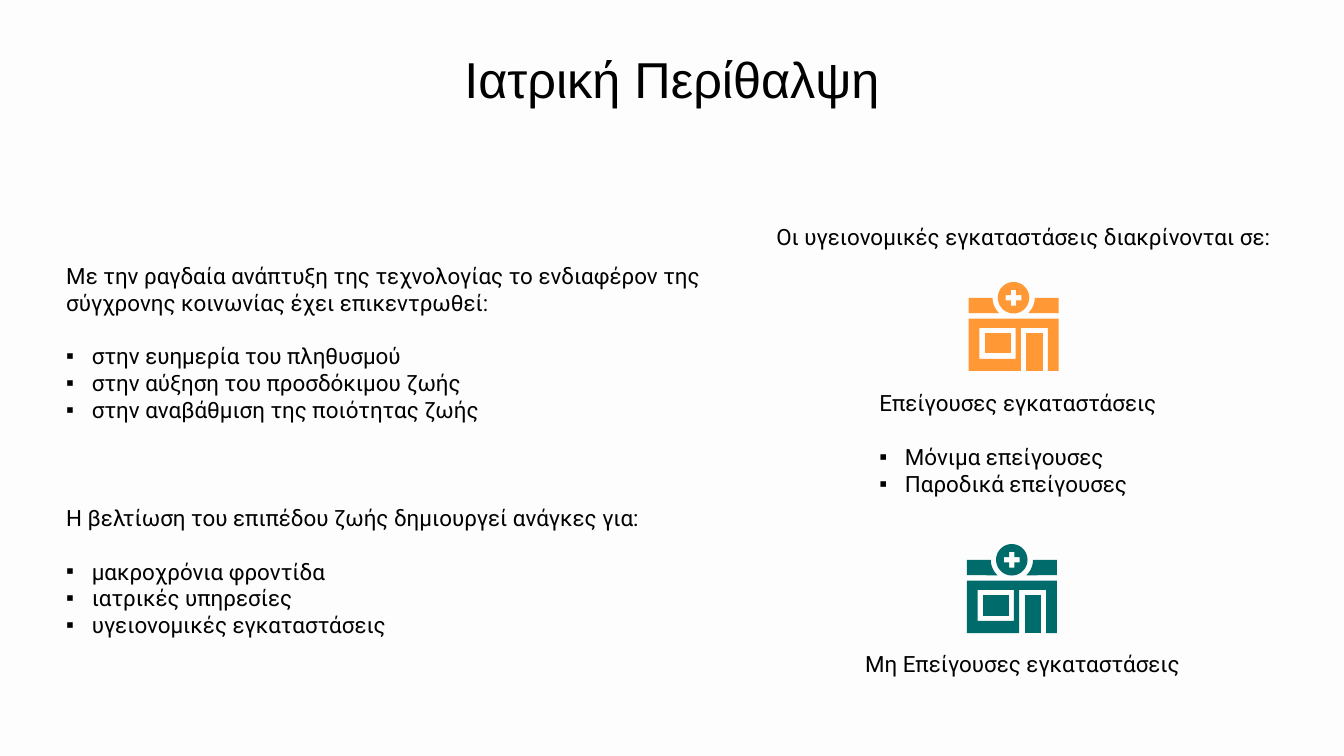
from dataclasses import dataclass
from math import cos, radians, sin

from lxml.etree import SubElement
from pptx import Presentation
from pptx.dml.color import RGBColor
from pptx.enum.text import MSO_ANCHOR, MSO_AUTO_SIZE, PP_ALIGN
from pptx.oxml.ns import qn
from pptx.util import Inches, Pt


@dataclass(frozen=True)
class Theme:
    back: str = "FDFDFD"
    ink: str = "000000"
    warm: str = "FF9835"
    cool: str = "006B6B"
    head: str = "Arial"
    text: str = "Roboto"
    big: float = 27
    small: float = 12
    line: float = 14.4  # height of one text line, points


THEME = Theme()

# A 16:9 slide and its grid: 100 columns, square cells
WIDE = 10
HIGH = WIDE * 9 / 16
CELL = WIDE / 100

# Content: each item is (text, is a bullet, empty lines above)
TITLE = [("Ιατρική Περίθαλψη", False, 0)]
NEEDS = [
    ("Με την ραγδαία ανάπτυξη της τεχνολογίας το ενδιαφέρον της "
     "σύγχρονης κοινωνίας έχει επικεντρωθεί:", False, 0),
    ("στην ευημερία του πληθυσμού", True, 1),
    ("στην αύξηση του προσδόκιμου ζωής", True, 0),
    ("στην αναβάθμιση της ποιότητας ζωής", True, 0),
    ("Η βελτίωση του επιπέδου ζωής δημιουργεί ανάγκες για:", False, 3),
    ("μακροχρόνια φροντίδα", True, 1),
    ("ιατρικές υπηρεσίες", True, 0),
    ("υγειονομικές εγκαταστάσεις", True, 0),
]
URGENT = [
    ("Επείγουσες εγκαταστάσεις", False, 0),
    ("Μόνιμα επείγουσες", True, 1),
    ("Παροδικά επείγουσες", True, 0),
]
OTHER = [("Μη Επείγουσες εγκαταστάσεις", False, 0)]
KINDS = [("Οι υγειονομικές εγκαταστάσεις διακρίνονται σε:", False, 0)]

# Places in grid cells: left, top, width, height
SPOTS = {
    "title": (5.5, 5.2, 89, 1.2),
    "needs": (3.93, 12.14, 49.2, 42.7),
    "urgent": (64.43, 25.83, 27.6, 14.3),
    "other": (61.63, 46.5, 28.9, 5.8),
    "kinds": (56.78, 15.54, 39.3, 4.1),
}
CLINICS = [(72.07, 21, THEME.warm), (71.94, 40.5, THEME.cool)]


# Clinic icon, in tenths of a cell
def rect(left, top, right, low):
    return [(left, top), (left, low), (right, low), (right, top)]


def arc(mid, size, start, end, steps):
    turns = [radians(start + (end - start) * i / steps)
             for i in range(steps + 1)]
    return [(mid[0] + size * cos(t), mid[1] + size * sin(t)) for t in turns]


def cross(mid, arm, half):
    quart = [(half, arm), (half, half), (arm, half)]
    spots = []
    for _ in range(4):
        spots += quart
        quart = [(y, -x) for x, y in quart]
    return [(mid[0] + x, mid[1] + y) for x, y in spots]


SPAN = 67
HUB = (SPAN / 2, 11.6)
WALL = [(0, 27), (0, 66), (39, 66), (39, 34), (59, 34), (59, 66),
        (SPAN, 66), (SPAN, 27)]
WING = [(0, 11.6), (0, 23), *arc(HUB, 15.7, 133, 180, 10)]
PARTS = [  # each part is an outline, then its hole if any
    [WALL, rect(8, 34, 35, 57)],
    [rect(43, 38, 55, 66)],
    [WING],
    [arc(HUB, 11.7, 0, 360, 60), cross(HUB, 5.8, 1.9)],
    [[(SPAN - x, y) for x, y in WING]],
    [rect(12, 38, 31.5, 53)],
]


def place(spot):
    return [Inches(n * CELL) for n in spot]


def paint(fill, color):
    fill.solid()
    fill.fore_color.rgb = RGBColor.from_string(color)


def mark(para, bullet):
    props = para._p.get_or_add_pPr()
    props.set("marL", str(Inches(0.19) if bullet else 0))
    props.set("indent", str(-Inches(0.19) if bullet else 0))
    if bullet:
        tint = SubElement(props, qn("a:buClr"))
        SubElement(tint, qn("a:srgbClr")).set("val", THEME.ink)
        SubElement(props, qn("a:buChar")).set("char", "▪")
    else:
        SubElement(props, qn("a:buNone"))


def write(shape, items, spot, font=THEME.text, size=THEME.small,
          color=THEME.ink, align=PP_ALIGN.LEFT):
    shape.left, shape.top, shape.width, shape.height = place(spot)
    frame = shape.text_frame
    frame.word_wrap = True
    frame.auto_size = MSO_AUTO_SIZE.NONE
    frame.vertical_anchor = MSO_ANCHOR.MIDDLE
    frame.margin_left = frame.margin_right = Inches(0.1)
    frame.margin_top = frame.margin_bottom = Inches(0.1)
    for i, (text, bullet, gap) in enumerate(items):
        para = frame.add_paragraph() if i else frame.paragraphs[0]
        mark(para, bullet)
        para.alignment = align
        para.space_before = Pt(gap * THEME.line)
        run = para.add_run()
        run.text = text
        run.font.name, run.font.size = font, Pt(size)
        run.font.color.rgb = RGBColor.from_string(color)


def draw(slide, left, top, color):
    group = slide.shapes.add_group_shape()
    for part in PARTS:
        loops = [[(Inches(x * CELL / 10), Inches(y * CELL / 10))
                  for x, y in loop] for loop in part]
        pen = group.shapes.build_freeform(*loops[0][0])
        pen.add_line_segments(loops[0][1:], close=True)
        for hole in loops[1:]:
            pen.move_to(*hole[0])
            pen.add_line_segments(hole[1:], close=True)
        shape = pen.convert_to_shape(*place((left, top)))
        shape.shadow.inherit = False
        paint(shape.fill, color)
        shape.line.fill.background()


def main():
    deck = Presentation()
    deck.slide_width, deck.slide_height = Inches(WIDE), Inches(HIGH)
    slide = deck.slides.add_slide(deck.slide_layouts[3])
    paint(slide.background.fill, THEME.back)

    # Title and lists
    holders = slide.placeholders
    write(slide.shapes.title, TITLE, SPOTS["title"], font=THEME.head,
          size=THEME.big, align=PP_ALIGN.CENTER)
    write(holders[2], URGENT, SPOTS["urgent"])
    write(holders[1], NEEDS, SPOTS["needs"])

    # Labels
    for items, name, align in [(OTHER, "other", PP_ALIGN.CENTER),
                               (KINDS, "kinds", PP_ALIGN.LEFT)]:
        box = slide.shapes.add_textbox(*place(SPOTS[name]))
        write(box, items, SPOTS[name], align=align)

    # Icons
    for left, top, color in CLINICS:
        draw(slide, left, top, color)
    deck.save("out.pptx")


if __name__ == "__main__":
    main()
